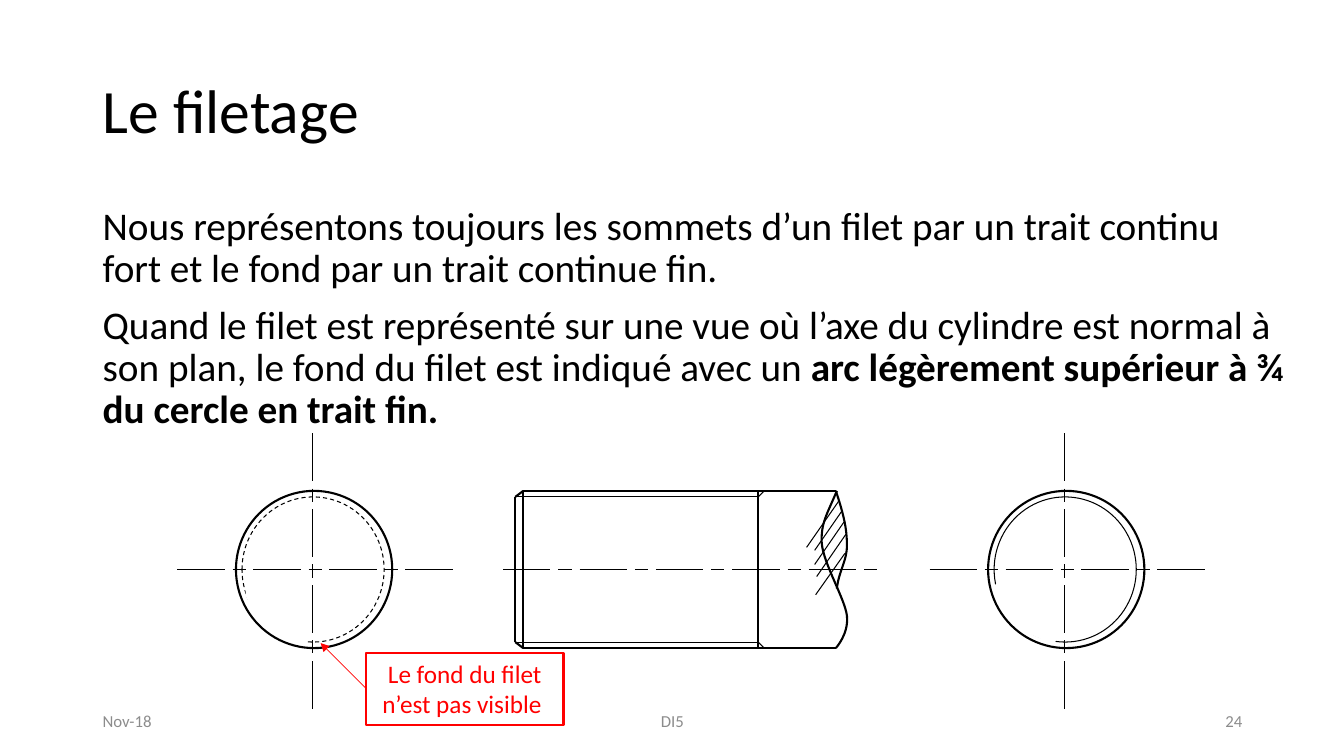
"""Build the slide on how a screw thread is drawn."""
from lxml.etree import SubElement
from pptx import Presentation
from pptx.dml.color import RGBColor
from pptx.enum.dml import MSO_LINE
from pptx.enum.shapes import MSO_CONNECTOR, MSO_SHAPE
from pptx.enum.text import MSO_ANCHOR, PP_ALIGN
from pptx.oxml.ns import qn
from pptx.util import Inches, Pt

BLACK = RGBColor(0x00, 0x00, 0x00)
WHITE = RGBColor(0xFF, 0xFF, 0xFF)
RED = RGBColor(0xFF, 0x00, 0x00)
GREY = RGBColor(0x8C, 0x8C, 0x8C)
FONT = "Calibri"
THICK, THIN = 1.5, 0.75

TITLE = [[("Le filetage", False)]]
RULES = [
    [("Nous représentons toujours les sommets d’un filet par un trait continu "
      "fort et le fond par un trait continue fin.", False)],
    [("Quand le filet est représenté sur une vue où l’axe du cylindre est normal à "
      "son plan, le fond du filet est indiqué avec un ", False),
     ("arc légèrement supérieur à ¾ du cercle en trait fin.", True)],
]
CALLOUT = [[("Le fond du filet n’est pas visible ", False)]]
FOOTERS = [
    ("Nov-18", 0.92, 3, PP_ALIGN.LEFT),
    ("DI5", 4.42, 4.5, PP_ALIGN.CENTER),
    ("24", 9.42, 3, PP_ALIGN.RIGHT),
]

AXIS_Y, CREST_R, ROOT_R = 5.65, 0.78, 0.72
CREST_TOP, CREST_BOTTOM = AXIS_Y - CREST_R, AXIS_Y + CREST_R
ROOT_TOP, ROOT_BOTTOM = AXIS_Y - ROOT_R, AXIS_Y + ROOT_R
LONG_DASH, SHORT_DASH = 0.47, 0.13
AXIS_BEFORE, AXIS_SPAN = 1.34, 2.73
TIP_X, CHAMFER_X, THREAD_END_X, BREAK_X = 5.11, 5.19, 7.52, 8.29
RUNOUT = 0.06

END_VIEWS = [
    (10.56, None, (0, 0)),
    (3.1, MSO_LINE.DASH, (-7.43, 0.02)),
]
ARC_OPENING = [
    (10.16, 5.9),
    [(10.08, 5.85), (9.92, 5.78), (9.88, 5.8)],
    [(9.85, 5.83), (9.9, 5.97), (9.94, 6.04)],
    [(9.98, 6.11), (10.05, 6.18), (10.11, 6.23)],
    [(10.17, 6.27), (10.26, 6.3), (10.32, 6.33)],
    [(10.37, 6.35), (10.45, 6.4), (10.46, 6.37)],
    [(10.48, 6.34), (10.46, 6.21), (10.41, 6.14)],
    [(10.36, 6.06), (10.25, 5.96), (10.16, 5.9)],
]
BREAK_CURVES = [
    [(8.3, 4.87),
     [(8.2, 5.11), (8.14, 5.19), (8.15, 5.39)],
     [(8.17, 5.6), (8.38, 5.94), (8.4, 6.11)],
     [(8.42, 6.29), (8.29, 6.43), (8.29, 6.43)]],
    [(8.29, 4.87),
     [(8.37, 5.11), (8.4, 5.25), (8.4, 5.41)],
     [(8.4, 5.57), (8.32, 5.66), (8.3, 5.84)]],
]
HATCHES = [
    (8.32, 4.97, 8, 5.43),
    (8.35, 5.07, 8.08, 5.46),
    (8.37, 5.18, 8.08, 5.6),
    (8.39, 5.3, 8.1, 5.72),
    (8.38, 5.49, 8.09, 5.9),
]

prs = Presentation()
prs.slide_width, prs.slide_height = Inches(13.33), Inches(7.5)
shapes = prs.slides.add_slide(prs.slide_layouts[6]).shapes


def write(frame, paragraphs, size, color, align=PP_ALIGN.LEFT,
          anchor=MSO_ANCHOR.TOP, spacing=None):
    frame.word_wrap = True
    frame.vertical_anchor = anchor
    for index, parts in enumerate(paragraphs):
        paragraph = frame.add_paragraph() if index else frame.paragraphs[0]
        paragraph.alignment = align
        paragraph.line_spacing = spacing
        if index:
            paragraph.space_before = Pt(10)
        for text, bold in parts:
            run = paragraph.add_run()
            run.text = text
            run.font.name, run.font.size, run.font.bold = FONT, Pt(size), bold
            run.font.color.rgb = color


def text_box(left, top, width, height, *args, **options):
    box = shapes.add_textbox(*map(Inches, (left, top, width, height)))
    write(box.text_frame, *args, **options)


def line(x1, y1, x2, y2, weight=THIN, color=BLACK):
    stroke = shapes.add_connector(
        MSO_CONNECTOR.STRAIGHT, *map(Inches, (x1, y1, x2, y2)))
    stroke.line.color.rgb, stroke.line.width = color, Pt(weight)
    SubElement(stroke._element.spPr, qn("a:effectLst"))
    return stroke


def outline(shape, weight, color=BLACK, fill=None):
    shape.shadow.inherit = False
    if fill is None:
        shape.fill.background()
    else:
        shape.fill.solid()
        shape.fill.fore_color.rgb = fill
    shape.line.color.rgb, shape.line.width = color, Pt(weight)
    return shape


def ellipse(left, top, width, height, weight):
    return outline(shapes.add_shape(
        MSO_SHAPE.OVAL, *map(Inches, (left, top, width, height))), weight)


def curve(path, weight, color=BLACK, fill=None, shift=(0, 0)):
    def place(point):
        return tuple(Inches(value + move) for value, move in zip(point, shift))

    builder = shapes.build_freeform(*place(path[0]))
    builder.add_line_segments([place(bend[-1]) for bend in path[1:]],
                              close=fill is not None)
    shape = outline(builder.convert_to_shape(), weight, color, fill)
    segments = list(shape._element.iter(qn("a:lnTo")))
    for segment, bend in zip(segments, path[1:]):
        segment.tag = qn("a:cubicBezTo")
        segment.remove(segment[0])
        for x, y in map(place, bend):
            SubElement(segment, qn("a:pt"),
                       x=str(x - shape.left), y=str(y - shape.top))


def axis(start, span, fixed, dashes, vertical=False):
    lengths = [SHORT_DASH if i % 2 else LONG_DASH for i in range(dashes)]
    gap = (span - sum(lengths)) / (dashes - 1)
    for length in lengths:
        end = start + length
        if vertical:
            line(fixed, start, fixed, end)
        else:
            line(start, fixed, end, fixed)
        start = end + gap


def end_view(center_x, root_dash, opening_shift):
    ellipse(center_x - 0.76, CREST_TOP, 1.55, 2 * CREST_R, THICK)
    axis(center_x - AXIS_BEFORE, AXIS_SPAN, AXIS_Y, 7)
    axis(4.3, AXIS_SPAN, center_x, 7, vertical=True)
    root = ellipse(center_x - 0.7, ROOT_TOP, 1.41, 2 * ROOT_R, THIN)
    if root_dash:
        root.line.dash_style = root_dash
    curve(ARC_OPENING, 1, WHITE, WHITE, opening_shift)


def side_view():
    for crest, root in ((CREST_TOP, ROOT_TOP), (CREST_BOTTOM, ROOT_BOTTOM)):
        line(BREAK_X, crest, CHAMFER_X, crest, THICK)
        line(THREAD_END_X, root, TIP_X, root)
        line(THREAD_END_X, root, THREAD_END_X + RUNOUT, crest)
        line(CHAMFER_X, crest, TIP_X, root, THICK)
    for x in (CHAMFER_X, THREAD_END_X):
        line(x, CREST_TOP, x, CREST_BOTTOM, THICK)
    line(TIP_X, ROOT_TOP, TIP_X, ROOT_BOTTOM, THICK)
    for path in BREAK_CURVES:
        curve(path, THICK)
    for hatch in HATCHES:
        line(*hatch)
    axis(4.99, 3.71, AXIS_Y, 10)


text_box(0.92, 0.4, 11.5, 1.45, TITLE, 44, BLACK,
         anchor=MSO_ANCHOR.MIDDLE, spacing=0.9)
text_box(0.92, 2, 11.94, 4.76, RULES, 28, BLACK, spacing=0.9)
side_view()
for view in END_VIEWS:
    end_view(*view)

callout = outline(shapes.add_shape(
    MSO_SHAPE.RECTANGLE, *map(Inches, (3.63, 6.48, 1.96, 0.71))), THICK, RED)
write(callout.text_frame, CALLOUT, 18, RED, PP_ALIGN.CENTER)
leader = line(3.63, 6.83, 3.18, 6.38, 0.5, RED)
SubElement(leader.line._get_or_add_ln(), qn("a:tailEnd"), type="triangle")

for text, left, width, align in FOOTERS:
    text_box(left, 6.95, width, 0.4, [[(text, False)]], 12, GREY, align,
             MSO_ANCHOR.MIDDLE)

prs.save("out.pptx")
